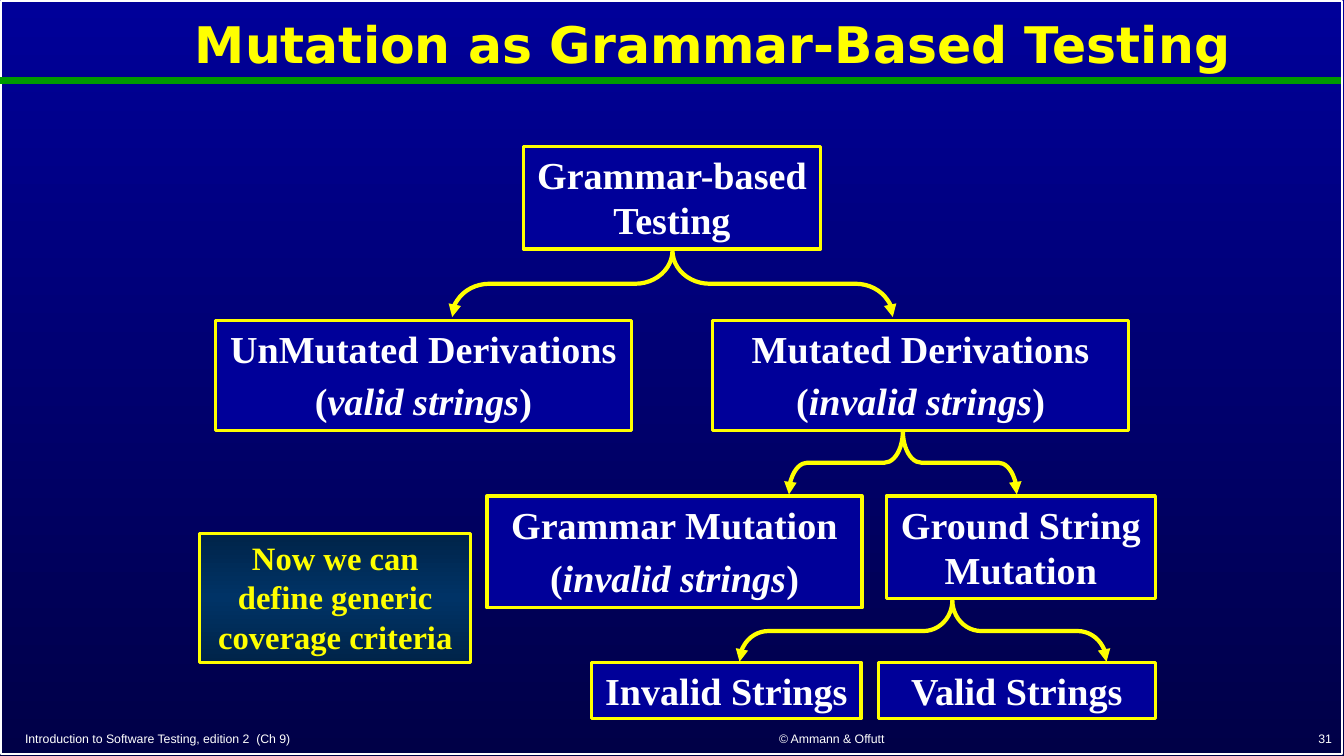
from copy import deepcopy
from dataclasses import dataclass
from typing import Any

from lxml import etree
from pptx import Presentation, util as u
from pptx.dml.color import RGBColor
from pptx.enum import shapes, text
from pptx.oxml import ns

COLORS = {"white": "FFFFFF", "yellow": "FFFF00", "green": "009900",
          "blue": "000099", "navy": "000047", "teal": "003366", "dark": "002449"}
SERIF, SANS, TITLE = "Times New Roman", "Arial", "DejaVu Sans"
ALIGN = text.PP_ALIGN
ANCHOR = text.MSO_ANCHOR


@dataclass
class Node:
    place: tuple[float, float, float, float]
    lines: tuple[str, ...]
    gap: float = 0
    size: float = 27.2
    ink: str = "white"


@dataclass
class Fork:
    place: tuple[float, float, float, float]
    curve: float
    stem: float


@dataclass
class Footer:
    place: tuple[float, float, float, float]
    line: str
    align: Any


def color(name: str) -> RGBColor:
    return RGBColor.from_string(COLORS[name])


def inches(place: tuple[float, ...]) -> list[u.Length]:
    return [u.Inches(value) for value in place]


def apply(target: Any, **values: Any) -> None:
    for name, value in values.items():
        setattr(target, name, value)


def add_span(para: Any, words: str, font: str, size: float, ink: str,
             **values: Any) -> None:
    span = para.add_run()
    span.text = words
    apply(span.font, name=font, size=u.Pt(size), **values)
    span.font.color.rgb = color(ink)


def set_line(line: Any, ink: str, width: float) -> None:
    line.color.rgb = color(ink)
    line.width = u.Pt(width)


def set_gradient(fill: Any, element: Any, names: list[str]) -> None:
    """Spread the named colours evenly from top to bottom."""
    fill.gradient()
    fill.gradient_angle = 270
    stops = element.xpath(".//a:gsLst")[0]
    for _ in names[2:]:
        stops.append(deepcopy(stops[0]))
    for index, (stop, name) in enumerate(zip(fill.gradient_stops, names)):
        stop.color.rgb = color(name)
        stop.position = index / (len(names) - 1)


def add_box(page: Any, place: tuple[float, ...], ink: str, width: float) -> Any:
    box = page.shapes.add_shape(shapes.MSO_SHAPE.RECTANGLE, *inches(place))
    box.shadow.inherit = False
    box.fill.background()
    set_line(box.line, ink, width)
    return box


def add_node(page: Any, node: Node) -> Any:
    box = add_box(page, node.place, "yellow", 2.25)
    box.fill.solid()
    box.fill.fore_color.rgb = color("blue")
    frame = box.text_frame
    apply(frame, word_wrap=True, vertical_anchor=ANCHOR.TOP)
    for index, line in enumerate(node.lines):
        para = frame.add_paragraph() if index else frame.paragraphs[0]
        para.alignment = ALIGN.CENTER
        para.space_before = u.Pt(node.gap if index else 0)
        # Only the words inside brackets are italic
        parts = ["(", line[1:-1], ")"] if line.startswith("(") else [line]
        for position, part in enumerate(parts):
            add_span(para, part, SERIF, node.size, node.ink,
                     bold=True, italic=position == 1)
    return box


def add_fork(page: Any, fork: Fork) -> None:
    brace = page.shapes.add_shape(shapes.MSO_SHAPE.RIGHT_BRACE, *inches(fork.place))
    brace.rotation = 270
    brace.adjustments[0] = fork.curve
    brace.adjustments[1] = fork.stem
    brace.shadow.inherit = False
    brace.fill.background()
    set_line(brace.line, "yellow", 3)
    outline = brace.element.xpath("./p:spPr/a:ln")[0]
    for end in ("a:headEnd", "a:tailEnd"):
        etree.SubElement(outline, ns.qn(end), type="triangle")


def add_footer(page: Any, footer: Footer) -> None:
    frame = page.shapes.add_textbox(*inches(footer.place)).text_frame
    apply(frame, word_wrap=True, vertical_anchor=ANCHOR.BOTTOM)
    para = frame.paragraphs[0]
    para.alignment = footer.align
    add_span(para, footer.line, SANS, 8.8, "white")


NODES = [
    Node((5.19, 1.45, 2.95, 1.02), ("Grammar-based Testing",)),
    Node((2.14, 3.18, 4.12, 1.09), ("UnMutated Derivations", "(valid strings)"), 4.1),
    Node((7.07, 3.18, 4.12, 1.09), ("Mutated Derivations", "(invalid strings)"), 4.1),
    Node((4.83, 4.92, 3.72, 1.11), ("Grammar Mutation", "(invalid strings)"), 5.4),
    Node((8.79, 4.92, 2.67, 1.02), ("Ground String Mutation",)),
    Node((5.87, 6.57, 2.67, 0.56), ("Invalid Strings",)),
    Node((8.71, 6.57, 2.75, 0.56), ("Valid Strings",)),
]
NOTE = Node((1.98, 5.29, 2.69, 1.28),
            ("Now we can define generic coverage criteria",), 0, 23.3, "yellow")
FORKS = [
    Fork((6.34, 0.63, 0.66, 4.37), 0.56, 0.5),
    Fork((8.64, 3.46, 0.63, 2.26), 0.29, 0.5),
    Fork((8.85, 4.44, 0.61, 3.64), 0.47, 0.58),
]
FOOTERS = [
    Footer((0.15, 7.2, 5.69, 0.25),
           "Introduction to Software Testing, edition 2  (Ch 9)", ALIGN.LEFT),
    Footer((6.14, 7.19, 4.22, 0.26), "© Ammann & Offutt", ALIGN.CENTER),
    Footer((10.53, 7.19, 2.78, 0.26), "31", ALIGN.RIGHT),
]

deck = Presentation()
apply(deck, slide_width=u.Inches(13.33), slide_height=u.Inches(7.5))
page = deck.slides.add_slide(deck.slide_layouts[5])

# Background, border and rule
set_gradient(page.background.fill, page.element, ["blue", "navy"])
add_box(page, (0.01, 0.01, 13.3, 7.47), "white", 1)
rule = page.shapes.add_connector(shapes.MSO_CONNECTOR.STRAIGHT,
                                 *inches((0, 0.8, 13.3, 0.8)))
set_line(rule.line, "green", 4.5)
etree.SubElement(rule.element.spPr, ns.qn("a:effectLst"))

# Title
title = page.shapes.title
apply(title, **dict(zip(("left", "top", "width", "height"),
                        inches((1.69, -0.22, 10.76, 1.37)))))
apply(title.text_frame, word_wrap=True, vertical_anchor=ANCHOR.MIDDLE,
      auto_size=text.MSO_AUTO_SIZE.NONE)
heading = title.text_frame.paragraphs[0]
apply(heading, alignment=ALIGN.CENTER, line_spacing=0.9)
add_span(heading, "Mutation as Grammar-Based Testing", TITLE, 36, "yellow", bold=True)

# Tree
for fork in FORKS:
    add_fork(page, fork)
for node in NODES:
    add_node(page, node)

# Side note
note = add_node(page, NOTE)
set_gradient(note.fill, note.element, ["dark", "teal", "dark"])

# Footer
for footer in FOOTERS:
    add_footer(page, footer)

deck.save("out.pptx")
